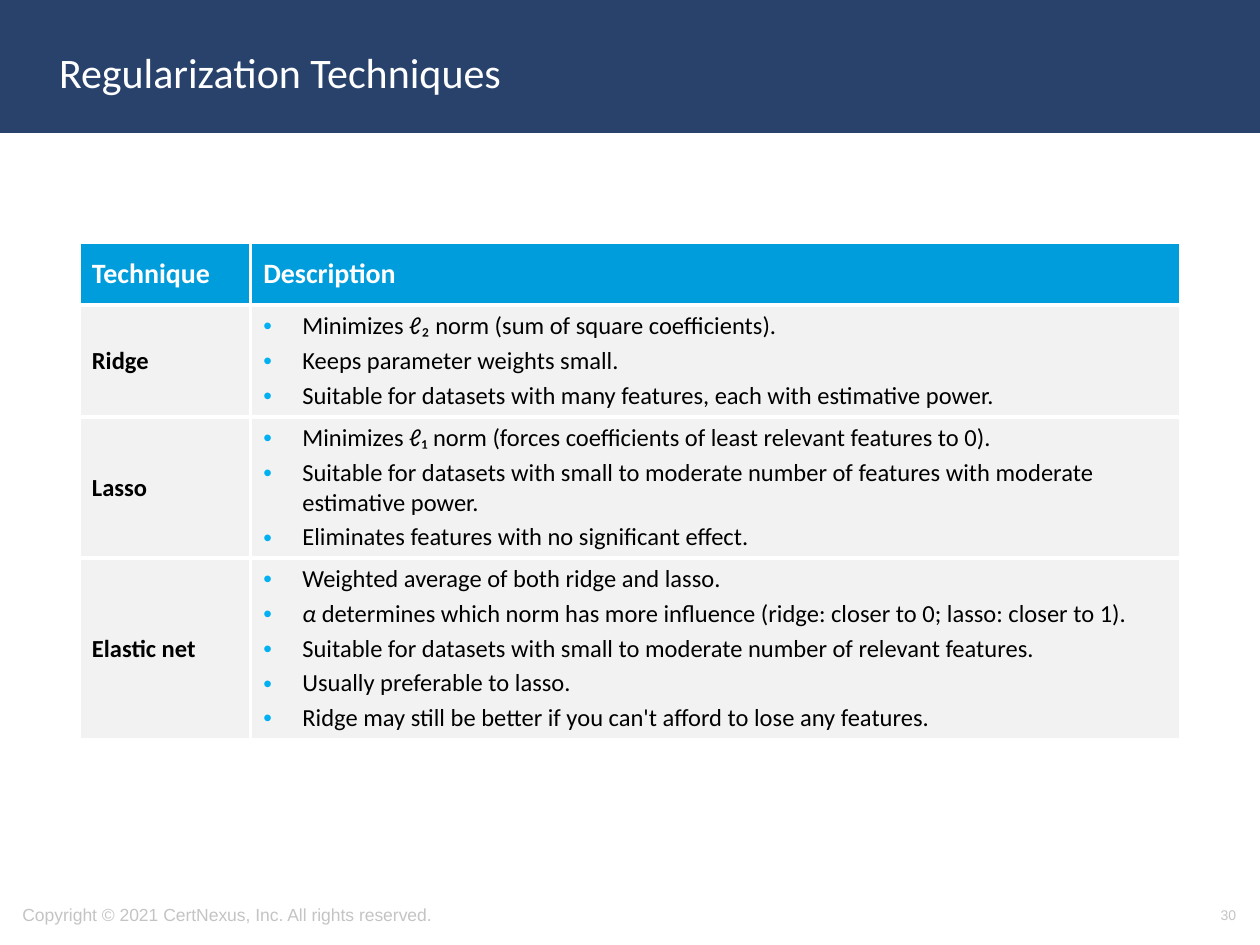
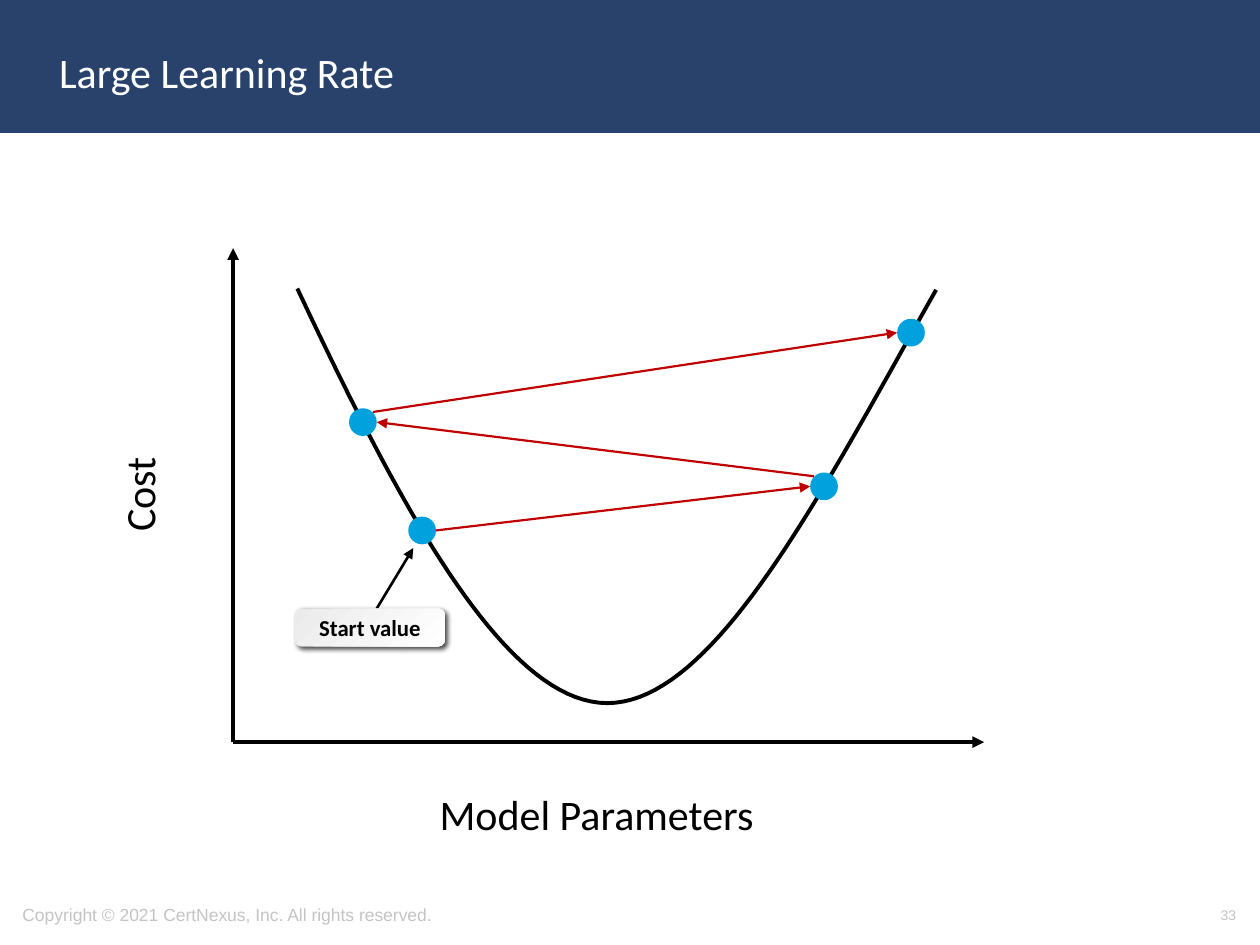
from dataclasses import dataclass

from lxml import etree
from pptx import Presentation
from pptx.dml.color import RGBColor
from pptx.enum.shapes import MSO_CONNECTOR as Connector, MSO_SHAPE as Preset
from pptx.enum.text import MSO_ANCHOR as Anchor, MSO_AUTO_SIZE as AutoSize, PP_ALIGN as Align
from pptx.oxml.ns import qn
from pptx.util import Inches, Pt

NAVY, HEADER_BLUE, DOT_BLUE, BULLET_BLUE = "28426C", "009DDC", "01A1DD", "00B0F0"
WHITE, BLACK, GREY, CELL_GREY, RED = "FFFFFF", "000000", "C4C4C4", "F2F2F2", "C00000"
BODY_FONT, FOOTER_FONT = "Calibri", "Arial"
COPYRIGHT = "Copyright © 2021 CertNexus, Inc. All rights reserved."

Point = tuple[float, float]
Area = tuple[float, float, float, float]


@dataclass(frozen=True)
class TextStyle:
    size: float
    color: str = BLACK
    font: str = BODY_FONT
    bold: bool = False
    align: Align = Align.LEFT


@dataclass(frozen=True)
class Span:
    text: str
    italic: bool = False


@dataclass(frozen=True)
class Technique:
    name: str
    row_height: float
    points: list[list[Span]]


@dataclass(frozen=True)
class Arrow:
    start: Point
    tip: Point
    color: str
    width: float


TITLE = TextStyle(24, WHITE)
AXIS_LABEL = TextStyle(24)
COPYRIGHT_STYLE = TextStyle(10, GREY, FOOTER_FONT)
PAGE_NUMBER = TextStyle(8, GREY, FOOTER_FONT, align=Align.RIGHT)
TABLE_HEADER = TextStyle(16, WHITE, bold=True)
TECHNIQUE_NAME = TextStyle(14, bold=True)
DESCRIPTION = TextStyle(14)
CALLOUT = TextStyle(13, bold=True, align=Align.CENTER)

TABLE_AREA = (0.63, 1.92, 8.74, 3.95)
COLUMN_WIDTHS = (1.36, 7.38)
HEADER_HEIGHT = 0.5
TECHNIQUES = [
    Technique("Ridge", 0.89, [
        [Span("Minimizes ℓ₂ norm (sum of square coefficients).")],
        [Span("Keeps parameter weights small.")],
        [Span("Suitable for datasets with many features, each with estimative power.")],
    ]),
    Technique("Lasso", 1.12, [
        [Span("Minimizes ℓ₁ norm (forces coefficients of least relevant features to 0).")],
        [Span("Suitable for datasets with small to moderate number of features "
              "with moderate estimative power.")],
        [Span("Eliminates features with no significant effect.")],
    ]),
    Technique("Elastic net", 1.44, [
        [Span("Weighted average of both ridge and lasso.")],
        [Span("α", italic=True),
         Span(" determines which norm has more influence "
              "(ridge: closer to 0; lasso: closer to 1).")],
        [Span("Suitable for datasets with small to moderate number of relevant features.")],
        [Span("Usually preferable to lasso.")],
        [Span("Ridge may still be better if you can't afford to lose any features.")],
    ]),
]

ORIGIN = (1.85, 5.89)
COST_CURVE = [
    ((2.36, 2.29), (3.13, 3.92), (3.98, 5.58), (4.82, 5.58)),
    ((4.82, 5.58), (5.67, 5.58), (6.52, 3.91), (7.43, 2.30)),
]
CURVE_STEPS = 40
DOT_SIZE = 0.22
STEP_DOTS = [(3.24, 4.10), (6.43, 3.75), (2.77, 3.24), (7.12, 2.53)]
ARROWS = [
    Arrow(ORIGIN, (1.85, 1.97), BLACK, 2.25),
    Arrow(ORIGIN, (7.81, 5.89), BLACK, 2.25),
    Arrow((3.46, 4.21), (6.43, 3.86), RED, 1.25),
    Arrow((6.46, 3.78), (2.99, 3.35), RED, 1.25),
    Arrow((2.96, 3.27), (7.12, 2.64), RED, 1.25),
    Arrow((2.99, 4.83), (3.28, 4.35), BLACK, 1.5),
]


def rgb(color: str) -> RGBColor:
    return RGBColor.from_string(color)


def inches(values) -> list:
    return [Inches(value) for value in values]


def add_element(parent, tag: str, **attributes):
    return etree.SubElement(parent, qn(tag), attributes)


def write(para, spans: list[Span], style: TextStyle) -> None:
    para.alignment = style.align
    for span in spans:
        run = para.add_run()
        run.text = span.text
        font = run.font
        font.name, font.size = style.font, Pt(style.size)
        font.bold, font.italic = style.bold, span.italic
        font.color.rgb = rgb(style.color)


def add_text(page, area: Area, text: str, style: TextStyle):
    box = page.shapes.add_textbox(*inches(area))
    frame = box.text_frame
    frame.word_wrap = True
    frame.vertical_anchor = Anchor.MIDDLE
    write(frame.paragraphs[0], [Span(text)], style)
    return box


def add_axis_label(page, area: Area, text: str, rotation: float = 0) -> None:
    box = add_text(page, area, text, AXIS_LABEL)
    box.rotation = rotation
    box.text_frame.word_wrap = False
    box.text_frame.vertical_anchor = Anchor.TOP
    box.text_frame.auto_size = AutoSize.SHAPE_TO_FIT_TEXT


def add_filled(page, preset: Preset, area: Area, color: str):
    shape = page.shapes.add_shape(preset, *inches(area))
    shape.shadow.inherit = False
    shape.fill.solid()
    shape.fill.fore_color.rgb = rgb(color)
    shape.line.fill.background()
    return shape


def add_page(deck, title: str, number: int):
    """Add a slide with the shared band, title and footer."""
    page = deck.slides.add_slide(deck.slide_layouts[6])
    band = add_filled(page, Preset.RECTANGLE, (0, 0, 10, 1.04), NAVY)
    band.line.color.rgb = rgb(NAVY)
    band.line.width = Pt(2)
    add_text(page, (0.08, 7.06, 5.27, 0.4), COPYRIGHT, COPYRIGHT_STYLE)
    add_text(page, (0.37, 0.11, 8.62, 0.92), title, TITLE)
    add_text(page, (7.58, 7.06, 2.33, 0.4), str(number), PAGE_NUMBER)
    return page


def paint_cell(cell, color: str) -> None:
    """Fill the cell and give it white borders."""
    cell.vertical_anchor = Anchor.MIDDLE
    cell.fill.solid()
    cell.fill.fore_color.rgb = rgb(color)
    properties = cell._tc.get_or_add_tcPr()
    for index, side in enumerate("LRTB"):
        border = add_element(properties, f"a:ln{side}", w=str(Pt(2.25)))
        add_element(add_element(border, "a:solidFill"), "a:srgbClr", val=WHITE)
        properties.insert(index, border)


def add_bullet(para) -> None:
    properties = para._p.get_or_add_pPr()
    properties.set("marL", str(Inches(0.31)))
    properties.set("indent", str(-Inches(0.31)))
    add_element(add_element(properties, "a:buClr"), "a:srgbClr", val=BULLET_BLUE)
    add_element(properties, "a:buFont", typeface="Arial")
    add_element(properties, "a:buChar", char="•")


def add_technique_table(page) -> None:
    table = page.shapes.add_table(
        len(TECHNIQUES) + 1, len(COLUMN_WIDTHS), *inches(TABLE_AREA)).table
    table.horz_banding = False
    for column, width in zip(table.columns, COLUMN_WIDTHS):
        column.width = Inches(width)
    heights = [HEADER_HEIGHT] + [technique.row_height for technique in TECHNIQUES]
    for index, (row, height) in enumerate(zip(table.rows, heights)):
        row.height = Inches(height)
        for cell in row.cells:
            paint_cell(cell, CELL_GREY if index else HEADER_BLUE)

    for column, heading in enumerate(("Technique", "Description")):
        write(table.cell(0, column).text_frame.paragraphs[0], [Span(heading)], TABLE_HEADER)
    for row, technique in enumerate(TECHNIQUES, start=1):
        name_frame = table.cell(row, 0).text_frame
        write(name_frame.paragraphs[0], [Span(technique.name)], TECHNIQUE_NAME)
        frame = table.cell(row, 1).text_frame
        for index, spans in enumerate(technique.points):
            para = frame.add_paragraph() if index else frame.paragraphs[0]
            add_bullet(para)
            if index:
                para.space_before = Pt(2.8)
            write(para, spans, DESCRIPTION)


def add_arrow(page, arrow: Arrow) -> None:
    line = page.shapes.add_connector(
        Connector.STRAIGHT, *inches(arrow.start), *inches(arrow.tip))
    line.line.color.rgb = rgb(arrow.color)
    line.line.width = Pt(arrow.width)
    properties = line._element.spPr
    add_element(properties.find(qn("a:ln")), "a:tailEnd", type="triangle")
    add_element(properties, "a:effectLst")


def bezier_point(controls: tuple[Point, ...], t: float) -> Point:
    weights = ((1 - t) ** 3, 3 * t * (1 - t) ** 2, 3 * t ** 2 * (1 - t), t ** 3)
    x, y = (sum(w * value for w, value in zip(weights, axis)) for axis in zip(*controls))
    return Inches(x), Inches(y)


def add_cost_curve(page) -> None:
    points = [bezier_point(controls, step / CURVE_STEPS)
              for controls in COST_CURVE for step in range(1, CURVE_STEPS + 1)]
    builder = page.shapes.build_freeform(*inches(COST_CURVE[0][0]))
    builder.add_line_segments(points, close=False)
    curve = builder.convert_to_shape()
    curve.shadow.inherit = False
    curve.fill.background()
    curve.line.color.rgb = rgb(BLACK)
    curve.line.width = Pt(2.25)


def add_start_callout(page) -> None:
    callout = add_filled(page, Preset.ROUNDED_RECTANGLE, (2.34, 4.83, 1.19, 0.3), WHITE)
    callout.fill.gradient()
    callout.fill.gradient_angle = 315
    for stop, color in zip(callout.fill.gradient_stops, ("EBEBEB", WHITE)):
        stop.color.rgb = rgb(color)
    effects = callout._element.spPr.find(qn("a:effectLst"))
    shadow = add_element(effects, "a:outerShdw", blurRad=str(Pt(3)), dist=str(Pt(2)),
                         dir=str(45 * 60000), algn="tl", rotWithShape="0")
    add_element(add_element(shadow, "a:srgbClr", val=BLACK), "a:alpha", val="75000")
    frame = callout.text_frame
    frame.vertical_anchor = Anchor.MIDDLE
    write(frame.paragraphs[0], [Span("Start value")], CALLOUT)


def add_learning_rate_diagram(page) -> None:
    add_axis_label(page, (3.39, 6.21, 2.72, 0.5), "Model Parameters")
    add_axis_label(page, (0.7, 3.67, 0.8, 0.5), "Cost", rotation=270)
    add_cost_curve(page)
    for left, top in STEP_DOTS:
        add_filled(page, Preset.OVAL, (left, top, DOT_SIZE, DOT_SIZE), DOT_BLUE)
    for arrow in ARROWS:
        add_arrow(page, arrow)
    add_start_callout(page)


def main() -> None:
    deck = Presentation()
    deck.slide_width, deck.slide_height = Inches(10), Inches(7.5)
    add_technique_table(add_page(deck, "Regularization Techniques", 30))
    add_learning_rate_diagram(add_page(deck, "Large Learning Rate", 33))
    deck.save("out.pptx")


if __name__ == "__main__":
    main()
